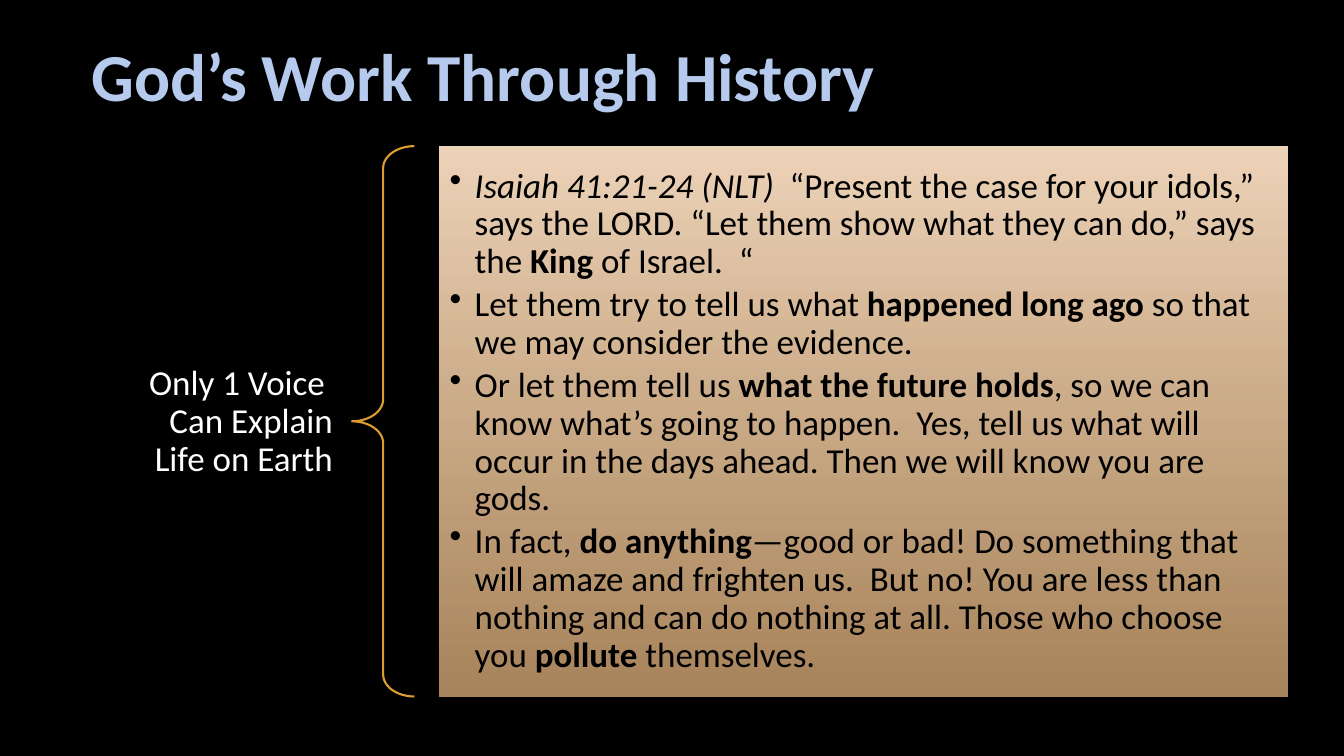
from lxml import etree
from pptx import Presentation
from pptx import util as u
from pptx.dml import color
from pptx.enum import shapes, text
from pptx.oxml import ns

BLACK = color.RGBColor(0x00, 0x00, 0x00)
WHITE = color.RGBColor(0xFF, 0xFF, 0xFF)
SKY = color.RGBColor(0xB5, 0xCA, 0xED)
BLUE = color.RGBColor(0x47, 0x7B, 0xD1)
GOLD = color.RGBColor(0xDD, 0x9D, 0x31)
CREAM = color.RGBColor(0xEF, 0xD5, 0xBA)
TAN = color.RGBColor(0xE4, 0xB4, 0x7E)

TOP, TALL = 1.45, 5.46
SIZE = 25

VERSES = [
    [("Isaiah 41:21-24 (NLT) ", "i"),
     ("\u00a0“Present the case for your idols,” says the LORD. “Let them show what they can do,” says the ", ""),
     ("King", "b"), (" of Israel. \u00a0“", "")],
    [("Let them try to tell us what ", ""), ("happened long ago", "b"),
     (" so that we may consider the evidence.", "")],
    [("Or let them tell us ", ""), ("what the future holds", "b"),
     (", so we can know what’s going to happen. \u00a0Yes, tell us what will occur in the days ahead. "
      "Then we will know you are gods.", "")],
    [("In fact, ", ""), ("do anything", "b"),
     ("—good or bad! Do something that will amaze and frighten us. \u00a0But no! You are less than "
      "nothing and can do nothing at all. Those who choose you ", ""),
     ("pollute", "b"), (" themselves.", "")],
]


def box(at):
    """Return the four lengths of a place in inches."""
    return [u.Inches(n) for n in at]


def style(run, size, tint, bold=False, slant=False):
    """Set the font of one run."""
    font = run.font
    font.name, font.size = "Calibri", u.Pt(size)
    font.bold, font.italic = bold, slant
    font.color.rgb = tint


def frame(shape, side, edge):
    """Wrap and centre the text of a shape vertically, with its insets."""
    body = shape.text_frame
    body.word_wrap = True
    body.vertical_anchor = text.MSO_ANCHOR.MIDDLE
    body.margin_left = body.margin_right = u.Inches(side)
    body.margin_top = body.margin_bottom = u.Inches(edge)
    return body


def label(slide, at, words, size, tint, bold=False, side=0.1, edge=0.05):
    """Add a text box with one paragraph and return the paragraph."""
    body = frame(slide.shapes.add_textbox(*box(at)), side, edge)
    body.text = words
    para = body.paragraphs[0]
    for run in para.runs:
        style(run, size, tint, bold)
    return para


def rim(run, tint, width):
    """Outline the letters of a run."""
    line = etree.Element(ns.qn("a:ln"), w=str(u.Pt(width)))
    fill = etree.SubElement(line, ns.qn("a:solidFill"))
    etree.SubElement(fill, ns.qn("a:srgbClr"), val=str(tint))
    run.font._element.insert(0, line)


def brace(slide, at):
    """Add the gold left brace."""
    shape = slide.shapes.add_shape(shapes.MSO_SHAPE.LEFT_BRACE, *box(at))
    shape.shadow.inherit = False
    shape.adjustments[0], shape.adjustments[1] = 0.35, 0.5
    shape.fill.background()
    shape.line.color.rgb = GOLD
    shape.line.width = u.Pt(1.5)


def panel(slide, at):
    """Add the shaded panel and return it."""
    shape = slide.shapes.add_shape(shapes.MSO_SHAPE.RECTANGLE, *box(at))
    shape.shadow.inherit = False
    shape.line.fill.background()
    shape.fill.gradient()
    shape.fill.gradient_angle = 270
    stops = shape.fill.gradient_stops
    for stop, spot, tint in zip(stops, (0, 1), (CREAM, TAN)):
        stop.position, stop.color.rgb = spot, tint
    last = shape._element.findall(".//" + ns.qn("a:gs"))[-1]
    etree.SubElement(last[0], ns.qn("a:alpha"), val="74000")
    return shape


def bullet(para, parts):
    """Fill a bulleted paragraph with styled runs."""
    props = para._p.get_or_add_pPr()
    props.set("marL", str(u.Inches(0.25)))
    props.set("indent", str(u.Inches(-0.25)))
    etree.SubElement(props, ns.qn("a:buChar"), char="•")
    para.alignment = text.PP_ALIGN.LEFT
    para.line_spacing, para.space_after = 0.9, u.Pt(3.75)
    for words, look in parts:
        run = para.add_run()
        run.text = words
        style(run, SIZE, BLACK, look == "b", look == "i")


def main():
    """Build the slide and save it."""
    deck = Presentation()
    deck.slide_width, deck.slide_height = u.Inches(13.33), u.Inches(7.5)
    slide = deck.slides.add_slide(deck.slide_layouts[6])
    slide.background.fill.solid()
    slide.background.fill.fore_color.rgb = BLACK

    title = label(slide, (0.81, 0, 11.08, 1.59), "God’s Work Through History", 48, SKY, True)
    title.line_spacing = 0.9
    rim(title.runs[0], BLUE, 1.75)

    voice = label(slide, (0.4, 3.54, 3.09, 1.29), "Only 1 Voice \vCan Explain\vLife on Earth",
                  SIZE, WHITE, side=0.19, edge=0.07)
    voice.alignment = text.PP_ALIGN.RIGHT
    voice.line_spacing = 0.9

    brace(slide, (3.49, TOP, 0.62, TALL))
    body = frame(panel(slide, (4.36, TOP, 8.41, TALL)), 0.1, 0.1)
    for n, parts in enumerate(VERSES):
        bullet(body.add_paragraph() if n else body.paragraphs[0], parts)
    deck.save("out.pptx")


if __name__ == "__main__":
    main()
